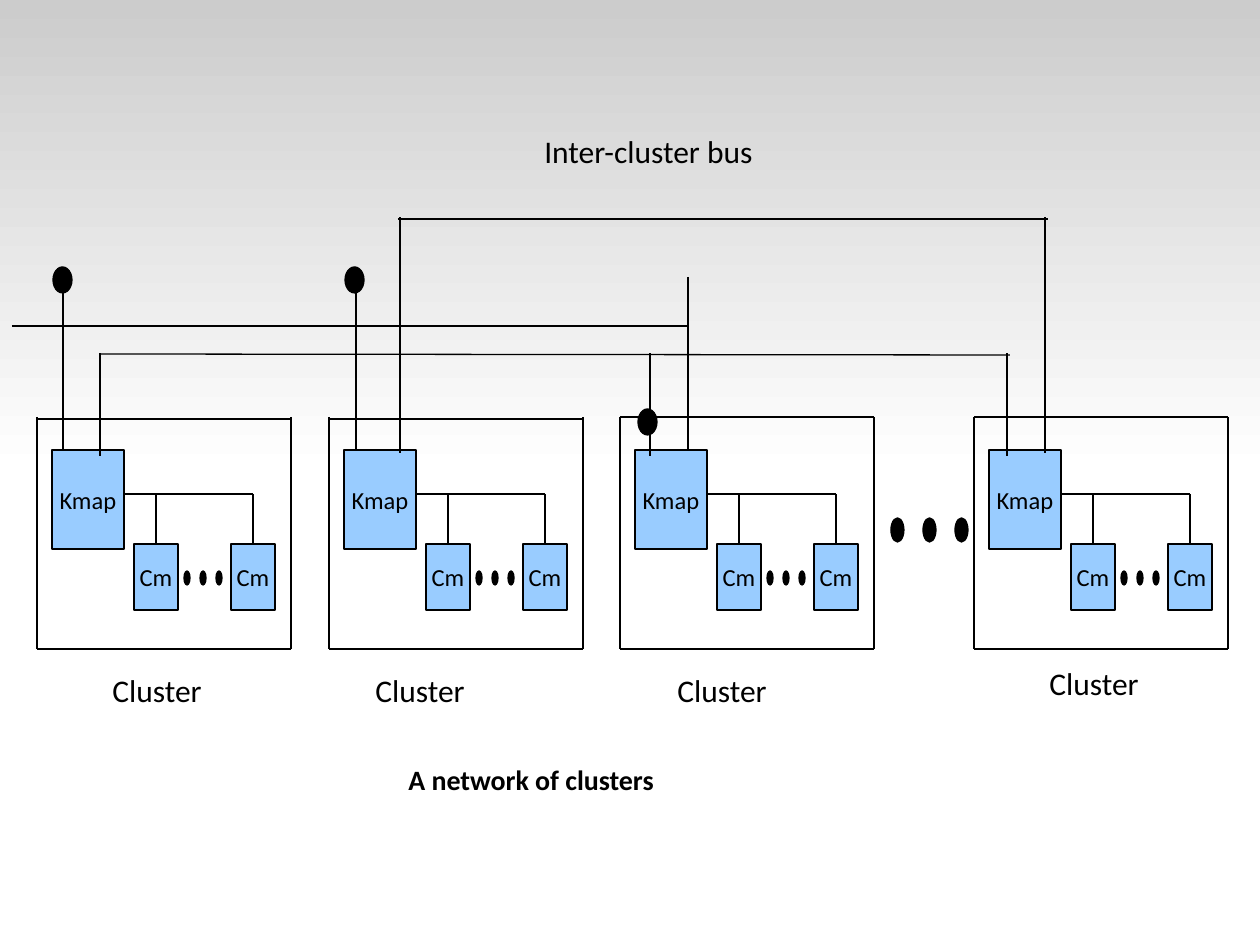
from lxml.etree import SubElement
from pptx import Presentation
from pptx.dml.color import RGBColor
from pptx.enum.shapes import MSO_CONNECTOR, MSO_SHAPE as Preset
from pptx.enum.text import MSO_ANCHOR, PP_ALIGN
from pptx.oxml.ns import qn
from pptx.util import Emu, Pt

PX = 914400 / 126
FONT, BLACK, BLUE = "Calibri", "000000", "99CCFF"
BACKDROP = ("CCCCCC", "FFFFFF")

# left and top of each cluster frame
CLUSTERS = [(37, 419), (329, 419), (620, 417), (974, 417)]
FRAME_WIDTH, SIDE_TOP, FRAME_BOTTOM = 254, 417, 649
KMAP_OFFSET, KMAP_TOP, KMAP_WIDTH, KMAP_HEIGHT = 15, 450, 72, 99
CM_OFFSETS, CM_TOP, CM_WIDTH, CM_HEIGHT = (97, 194), 544, 44, 66
LOCAL_BUS_Y = 494
CM_DOTS = (147, 571, 6, 14, 16)
CLUSTER_DOTS = (891, 518, 13, 24, 32)

BUS_LINES = [
    (100, 456, 100, 353), (650, 456, 650, 353), (1007, 456, 1007, 353),
    (100, 354, 1010, 355), (12, 326, 687, 326),
    (63, 277, 63, 450), (688, 277, 688, 450), (356, 277, 356, 450),
    (400, 453, 400, 217), (1045, 453, 1045, 217), (398, 219, 1048, 219),
]
BUS_TAPS = [(638, 409, 19, 26), (345, 267, 19, 26), (53, 267, 19, 26)]
LABELS = [
    ("Cluster", 100, 665, 158, 69, 18, False),
    ("Cluster", 363, 665, 158, 69, 18, False),
    ("Cluster", 665, 665, 158, 69, 18, False),
    ("Cluster", 1037, 658, 158, 69, 18, False),
    ("Inter-cluster bus", 532, 126, 441, 69, 18, False),
    ("A network of clusters", 396, 756, 567, 63, 16, True),
]


def px(*lengths):
    """Turn pixel lengths into EMU."""
    return [Emu(round(length * PX)) for length in lengths]


def color(value):
    """Turn a hex string into a colour."""
    return RGBColor.from_string(value)


def write(frame, text, size, bold=False):
    """Put one styled line of text in a frame."""
    frame.text = text
    font = frame.paragraphs[0].runs[0].font
    font.name, font.size, font.bold = FONT, Pt(size), bold
    font.color.rgb = color(BLACK)


def add_solid(shapes, preset, box, fill):
    """Add an outlined shape with a plain fill."""
    solid = shapes.add_shape(preset, *px(*box))
    solid.shadow.inherit = False
    solid.fill.solid()
    solid.fill.fore_color.rgb = color(fill)
    solid.line.color.rgb = color(BLACK)
    solid.line.width = Pt(0.75)
    return solid


def add_unit(shapes, text, box):
    """Add a blue box with a centred name."""
    unit = add_solid(shapes, Preset.RECTANGLE, box, BLUE)
    write(unit.text_frame, text, 14)
    unit.text_frame.word_wrap = False
    unit.text_frame.vertical_anchor = MSO_ANCHOR.MIDDLE
    unit.text_frame.paragraphs[0].alignment = PP_ALIGN.CENTER
    return unit


def add_wire(shapes, *ends):
    """Add a thin black line."""
    wire = shapes.add_connector(MSO_CONNECTOR.STRAIGHT, *px(*ends))
    wire.line.color.rgb = color(BLACK)
    wire.line.width = Pt(0.75)
    SubElement(wire._element.spPr, qn("a:effectLst"))
    return wire


def add_ellipsis(shapes, left, top, width, height, step):
    """Add three evenly spaced dots."""
    for number in range(3):
        add_solid(shapes, Preset.OVAL, (left + number * step, top, width, height), BLACK)


def add_cluster(shapes, left, top):
    """Add one framed cluster with its Kmap and Cm units."""
    kmap_left = left + KMAP_OFFSET
    add_unit(shapes, "Kmap", (kmap_left, KMAP_TOP, KMAP_WIDTH, KMAP_HEIGHT))
    bus_end = left + CM_OFFSETS[-1] + CM_WIDTH // 2
    add_wire(shapes, kmap_left + KMAP_WIDTH, LOCAL_BUS_Y, bus_end, LOCAL_BUS_Y)
    for offset in CM_OFFSETS:
        cm = add_unit(shapes, "Cm", (left + offset, CM_TOP, CM_WIDTH, CM_HEIGHT))
        middle = left + offset + CM_WIDTH // 2
        add_wire(shapes, middle, LOCAL_BUS_Y, middle, CM_TOP).end_connect(cm, 0)
    add_ellipsis(shapes, left + CM_DOTS[0], *CM_DOTS[1:])
    right = left + FRAME_WIDTH
    for x in (left, right):
        add_wire(shapes, x, SIDE_TOP, x, FRAME_BOTTOM)
    for y in (FRAME_BOTTOM, top):
        add_wire(shapes, left, y, right, y)


def add_backdrop(shapes):
    """Add the grey fade across the upper half."""
    backdrop = shapes.add_shape(Preset.ROUNDED_RECTANGLE, *px(0, 0, 1260, 472.5))
    backdrop.adjustments[0] = 0
    backdrop.shadow.inherit = False
    backdrop.line.fill.background()
    backdrop.fill.gradient()
    backdrop.fill.gradient_angle = 270
    for position, (stop, shade) in enumerate(zip(backdrop.fill.gradient_stops, BACKDROP)):
        stop.position = position
        stop.color.rgb = color(shade)


def main():
    """Build the slide and save it."""
    deck = Presentation()
    deck.slide_width, deck.slide_height = px(1260, 945)
    shapes = deck.slides.add_slide(deck.slide_layouts[6]).shapes
    add_backdrop(shapes)
    for left, top in CLUSTERS:
        add_cluster(shapes, left, top)
    add_ellipsis(shapes, *CLUSTER_DOTS)
    for ends in BUS_LINES:
        add_wire(shapes, *ends)
    for box in BUS_TAPS:
        add_solid(shapes, Preset.OVAL, box, BLACK)
    for text, left, top, width, height, size, bold in LABELS:
        label = shapes.add_textbox(*px(left, top, width, height))
        label.text_frame.word_wrap = True
        write(label.text_frame, text, size, bold)
    deck.save("out.pptx")


if __name__ == "__main__":
    main()
